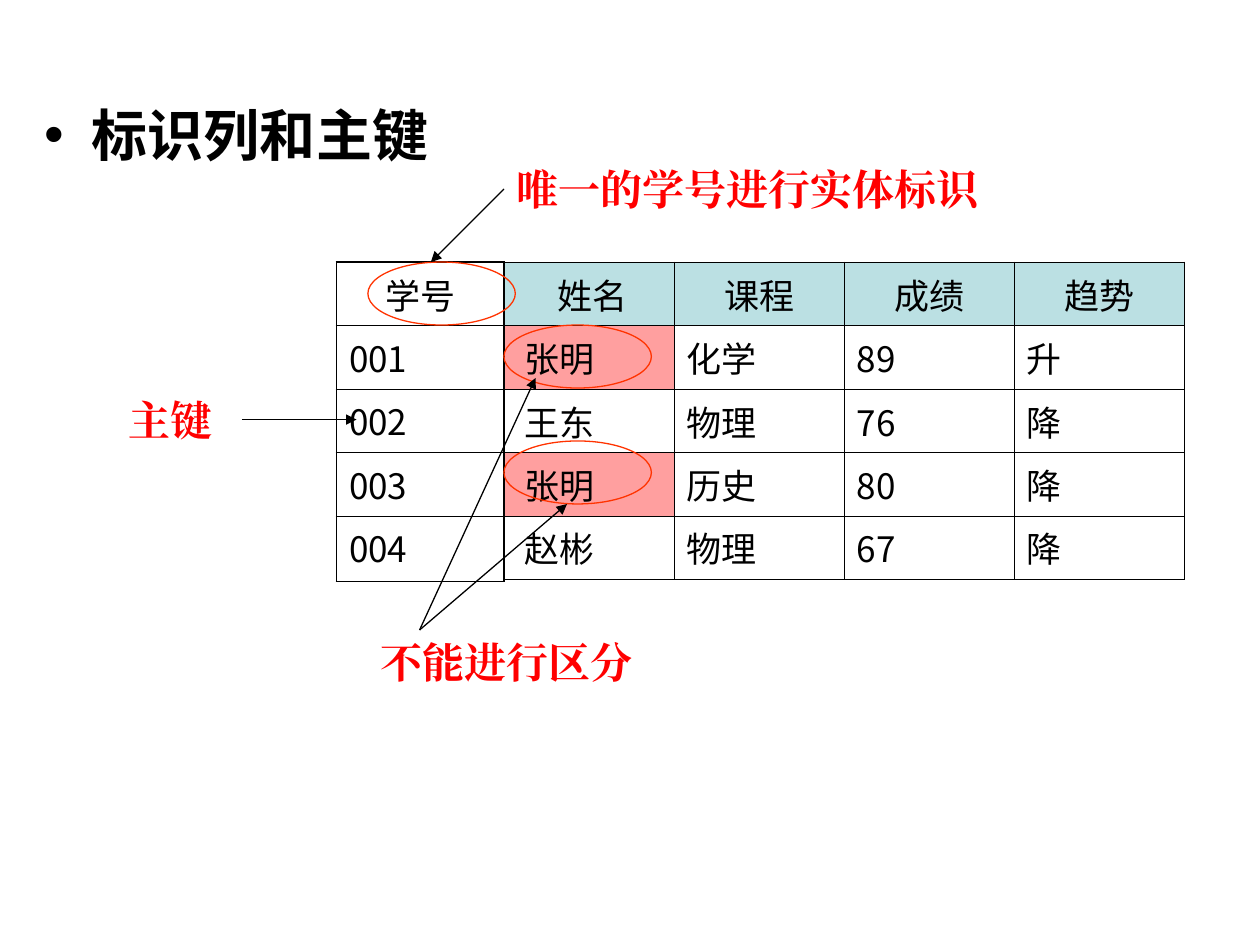
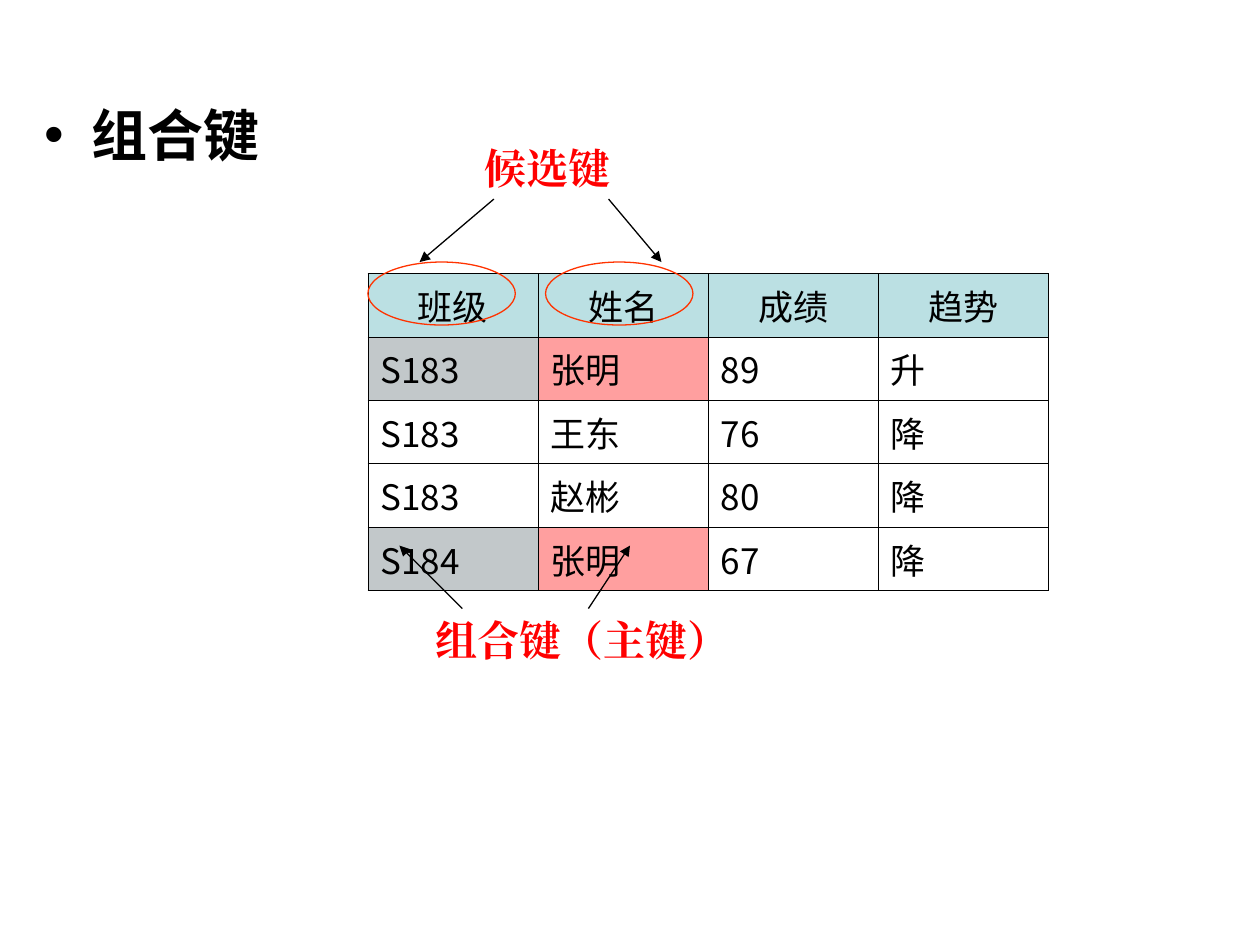
"""Build two slides on identity columns, primary keys and composite keys."""
from dataclasses import dataclass

from lxml import etree
from pptx import Presentation
from pptx.dml.color import RGBColor
from pptx.enum.shapes import MSO_CONNECTOR, MSO_SHAPE
from pptx.enum.text import MSO_ANCHOR, MSO_AUTO_SIZE, PP_ALIGN
from pptx.oxml.ns import qn
from pptx.util import Inches, Pt

ELLIPSE = MSO_SHAPE.OVAL
STRAIGHT = MSO_CONNECTOR.STRAIGHT
TOP, MIDDLE, BOTTOM = MSO_ANCHOR.TOP, MSO_ANCHOR.MIDDLE, MSO_ANCHOR.BOTTOM
LEFT, CENTER, JUSTIFY = PP_ALIGN.LEFT, PP_ALIGN.CENTER, PP_ALIGN.JUSTIFY
NO_FIT, GROW = MSO_AUTO_SIZE.NONE, MSO_AUTO_SIZE.SHAPE_TO_FIT_TEXT


@dataclass(frozen=True)
class Theme:
    """Colours, fonts, type sizes and line widths."""

    black: str = "000000"
    red: str = "FF0000"
    ring: str = "FF3300"
    header: str = "BBE0E3"
    pink: str = "FF9F9F"
    gray: str = "C2C8CA"
    title_font: str = "Arial Narrow"
    label_font: str = "Cambria"
    table_font: str = "Noto Sans CJK SC"
    title_size: int = 32
    label_size: int = 24
    table_size: int = 20
    line: float = 0.75
    thin: float = 0.45
    thick: float = 1.08


theme = Theme()


def style_paragraph(para, font_name, size, color, bold, align):
    """Set the type of a paragraph for Latin and East Asian text."""
    para.alignment = align
    para.font.name = font_name
    para.font.size = Pt(size)
    para.font.bold = bold
    para.font.color.rgb = RGBColor.from_string(color)
    defaults = para._p.pPr.find(qn("a:defRPr"))
    etree.SubElement(defaults, qn("a:ea"), typeface=font_name)


def add_border(cell, side, width):
    """Draw one side of a table cell."""
    line = etree.SubElement(cell._tc.get_or_add_tcPr(), qn(f"a:ln{side}"), w=str(Pt(width)))
    fill = etree.SubElement(line, qn("a:solidFill"))
    etree.SubElement(fill, qn("a:srgbClr"), val=theme.black)


pages = [
    {
        "title": "标识列和主键",
        "tables": [
            {
                "at": (4, 2.08), "width": 1.35, "last_height": 0.5, "header": theme.header,
                "side": theme.thin, "anchor": MIDDLE, "first_inset": 0.16,
                "rows": ["姓名 课程 成绩 趋势", "张明 化学 89 升", "王东 物理 76 降",
                         "张明 历史 80 降", "赵彬 物理 67 降"],
                "marked": {(1, 0): theme.pink, (3, 0): theme.pink},
            },
            {
                "at": (2.67, 2.08), "width": 1.33, "last_height": 0.52, "header": None,
                "side": theme.thick, "anchor": TOP, "first_inset": 0.1,
                "rows": ["学号", "001", "002", "003", "004"],
                "marked": {},
            },
        ],
        "rings": [(2.92, 2.08), (4, 2.58), (4, 3.5)],
        "labels": [
            ("唯一的学号进行实体标识", 4, 1.25, 5.42, LEFT),
            ("不能进行区分", 2.92, 5, 3, LEFT),
            ("主键", 0.92, 3.08, 1, LEFT),
        ],
        "arrows": [
            (4, 1.5, 3.42, 2.08, (0, 1)),
            (3.33, 5, 4.5, 4, None),
            (3.33, 5, 4.25, 3, None),
            (1.92, 3.33, 2.83, 3.33, (2, 3)),
        ],
    },
    {
        "title": "组合键",
        "tables": [
            {
                "at": (2.92, 2.17), "width": 1.35, "last_height": 0.5, "header": theme.header,
                "side": theme.thin, "anchor": MIDDLE, "first_inset": 0.1,
                "rows": ["班级 姓名 成绩 趋势", "S183 张明 89 升", "S183 王东 76 降",
                         "S183 赵彬 80 降", "S184 张明 67 降"],
                "marked": {(1, 0): theme.gray, (1, 1): theme.pink,
                           (4, 0): theme.gray, (4, 1): theme.pink},
            },
        ],
        "rings": [(2.92, 2.08), (4.33, 2.08)],
        "labels": [
            ("候选键", 3.75, 1.08, 1.42, LEFT),
            ("组合键（主键）", 3.08, 4.83, 3.08, CENTER),
        ],
        "arrows": [
            (3.92, 1.58, 3.33, 2.08, None),
            (4.83, 1.58, 5.25, 2.08, None),
            (4.67, 4.83, 5, 4.33, None),
            (3.67, 4.83, 3.17, 4.33, None),
        ],
    },
]

deck = Presentation()
deck.slide_width, deck.slide_height = Inches(10), Inches(7.5)
title_only = deck.slide_layouts[5]

for page in pages:
    slide = deck.slides.add_slide(title_only)

    title = slide.shapes.title
    title.left, title.top = Inches(0.25), Inches(0.75)
    title.width, title.height = Inches(6.5), Inches(0.75)
    title.text_frame.text = page["title"]
    title.text_frame.vertical_anchor = TOP
    title.text_frame.auto_size = NO_FIT
    para = title.text_frame.paragraphs[0]
    bullet = para._p.get_or_add_pPr()
    bullet.set("marL", str(Inches(0.38)))
    bullet.set("indent", str(Inches(-0.38)))
    etree.SubElement(bullet, qn("a:buFont"), typeface="Arial")
    etree.SubElement(bullet, qn("a:buChar"), char="•")
    style_paragraph(para, theme.title_font, theme.title_size, theme.black, True, JUSTIFY)

    for spec_table in page["tables"]:
        rows = [row.split() for row in spec_table["rows"]]
        left, top = spec_table["at"]
        last = len(rows) - 1
        table = slide.shapes.add_table(
            len(rows), len(rows[0]), Inches(left), Inches(top),
            Inches(spec_table["width"] * len(rows[0])), Inches(0.5 * len(rows))).table
        table.first_row = table.horz_banding = False
        for column in table.columns:
            column.width = Inches(spec_table["width"])
        table.rows[last].height = Inches(spec_table["last_height"])
        for row_index, row in enumerate(rows):
            is_header = row_index == 0
            for column_index, text in enumerate(row):
                cell = table.cell(row_index, column_index)
                cell.text = text
                cell.vertical_anchor = TOP if is_header else spec_table["anchor"]
                if column_index == 0:
                    cell.margin_left = Inches(spec_table["first_inset"])
                style_paragraph(cell.text_frame.paragraphs[0], theme.table_font,
                                theme.table_size, theme.black, False,
                                CENTER if is_header else LEFT)
                side = spec_table["side"]
                add_border(cell, "L", side)
                add_border(cell, "R", side)
                add_border(cell, "T", side if is_header else theme.thin)
                add_border(cell, "B", side if row_index == last else theme.thin)
                color = spec_table["marked"].get((row_index, column_index))
                if is_header:
                    color = spec_table["header"]
                if color:
                    cell.fill.solid()
                    cell.fill.fore_color.rgb = RGBColor.from_string(color)
                else:
                    cell.fill.background()

    for left, top in page["rings"]:
        ring = slide.shapes.add_shape(
            ELLIPSE, Inches(left), Inches(top), Inches(1.17), Inches(0.5))
        ring.shadow.inherit = False
        ring.fill.background()
        ring.line.color.rgb = RGBColor.from_string(theme.ring)
        ring.line.width = Pt(theme.line)

    labels = []
    for text, left, top, width, align in page["labels"]:
        label = slide.shapes.add_textbox(
            Inches(left), Inches(top), Inches(width), Inches(0.5))
        label.text_frame.word_wrap = True
        label.text_frame.auto_size = GROW
        label.text_frame.vertical_anchor = BOTTOM
        label.text_frame.text = text
        style_paragraph(label.text_frame.paragraphs[0], theme.label_font,
                        theme.label_size, theme.red, True, align)
        labels.append(label)

    for start_x, start_y, end_x, end_y, joint in page["arrows"]:
        arrow = slide.shapes.add_connector(
            STRAIGHT, Inches(start_x), Inches(start_y), Inches(end_x), Inches(end_y))
        if joint:
            label_index, side = joint
            arrow.begin_connect(labels[label_index], side)
        arrow.line.color.rgb = RGBColor.from_string(theme.black)
        arrow.line.width = Pt(theme.line)
        etree.SubElement(arrow.line._get_or_add_ln(), qn("a:tailEnd"), type="triangle")
        etree.SubElement(arrow._element.spPr, qn("a:effectLst"))

deck.save("out.pptx")
